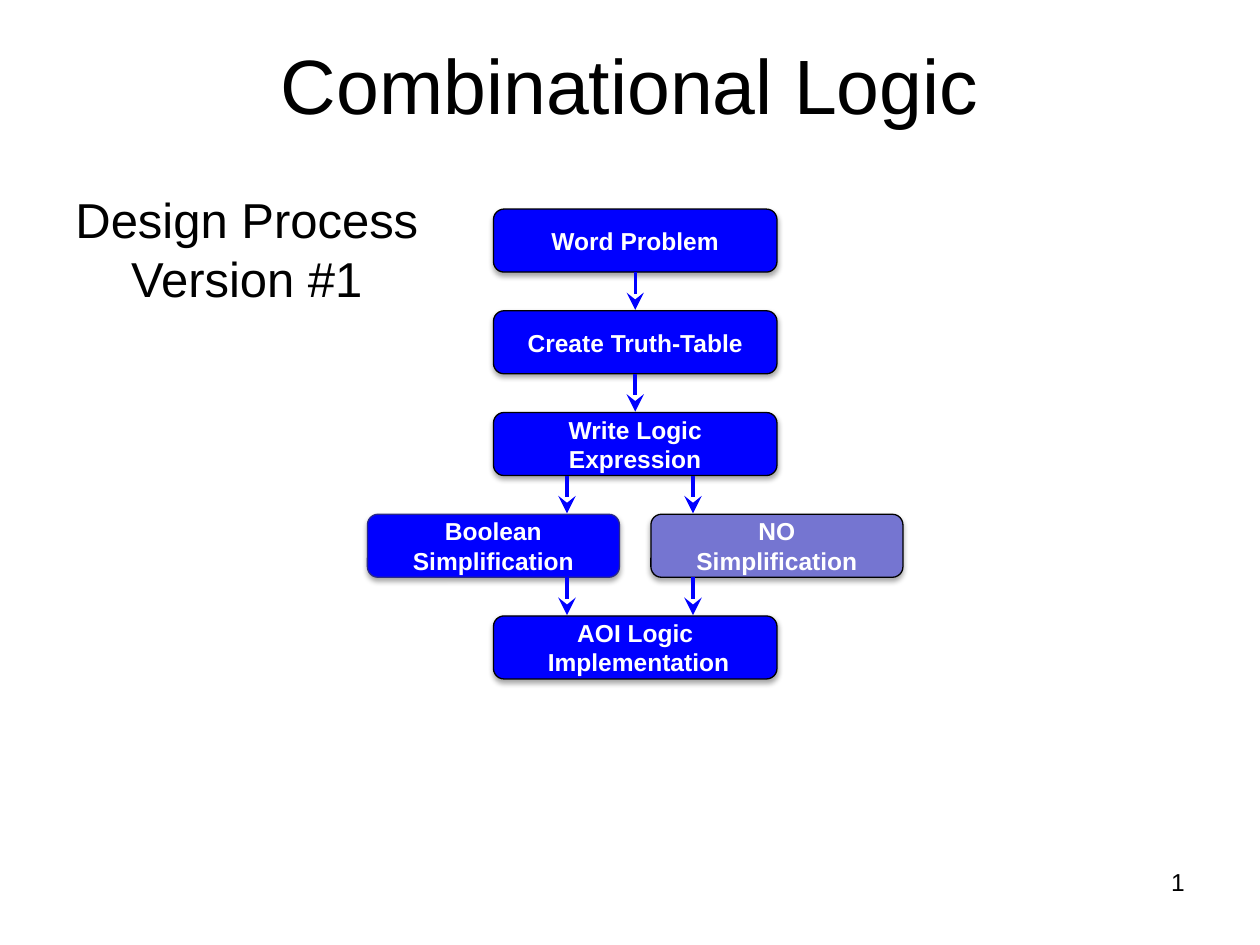
from dataclasses import dataclass

from lxml import etree
from pptx import Presentation
from pptx.dml.color import RGBColor
from pptx.enum.shapes import MSO_CONNECTOR, MSO_SHAPE
from pptx.enum.text import MSO_ANCHOR, PP_ALIGN
from pptx.oxml.ns import qn
from pptx.util import Pt

CENTER, RIGHT = PP_ALIGN.CENTER, PP_ALIGN.RIGHT
TOP, MIDDLE = MSO_ANCHOR.TOP, MSO_ANCHOR.MIDDLE
STEP_SHAPE = MSO_SHAPE.FLOWCHART_ALTERNATE_PROCESS
STRAIGHT = MSO_CONNECTOR.STRAIGHT


@dataclass(frozen=True)
class Theme:
    font: str = "Arial"
    title_size: float = 44
    subtitle_size: float = 28
    body_size: float = 14
    black: RGBColor = RGBColor(0, 0, 0)
    white: RGBColor = RGBColor(255, 255, 255)
    blue: RGBColor = RGBColor(0, 0, 255)
    muted_blue: RGBColor = RGBColor(0x75, 0x75, 0xD1)
    dark_blue: RGBColor = RGBColor(0x2A, 0x2A, 0x89)


THEME = Theme()

STEP_HEIGHT = 36
FIRST_TOP = 119.5
ROW_PITCH = 58.13
ARROW_LENGTH = 21.6
MAIN_LEFT, MAIN_WIDTH = 282, 162
BRANCH_WIDTH = 144
MAIN_X = MAIN_LEFT + MAIN_WIDTH / 2
BRANCH_XS = (324, 396)


def row_top(row):
    return FIRST_TOP + row * ROW_PITCH


def write_lines(shape, lines, size, color, bold=False, align=CENTER, anchor=TOP):
    frame = shape.text_frame
    frame.word_wrap = True
    frame.vertical_anchor = anchor
    frame.text = "\n".join(lines)
    for paragraph in frame.paragraphs:
        paragraph.alignment = align
        font = paragraph.font
        font.name, font.size, font.bold = THEME.font, Pt(size), bold
        font.color.rgb = color


def add_text(slide, bounds, lines, size, **layout):
    box = slide.shapes.add_textbox(*map(Pt, bounds))
    write_lines(box, lines, size, THEME.black, **layout)


def add_soft_shadow(shape):
    shape.shadow.inherit = False
    effects = shape._element.spPr.find(qn("a:effectLst"))
    shadow = etree.SubElement(
        effects, qn("a:outerShdw"), blurRad=str(Pt(3.1)), dist=str(Pt(1.8)),
        dir="5400000", rotWithShape="0")
    color = etree.SubElement(shadow, qn("a:srgbClr"), val=str(THEME.black))
    etree.SubElement(color, qn("a:alpha"), val="35000")


def add_step(slide, row, lines, left=MAIN_LEFT, width=MAIN_WIDTH,
             fill=THEME.blue, outline=THEME.black):
    bounds = (left, row_top(row), width, STEP_HEIGHT)
    step = slide.shapes.add_shape(STEP_SHAPE, *map(Pt, bounds))
    step.fill.solid()
    step.fill.fore_color.rgb = fill
    step.line.color.rgb = outline
    step.line.width = Pt(0.75)
    add_soft_shadow(step)
    write_lines(step, lines, THEME.body_size, THEME.white, bold=True, anchor=MIDDLE)


def add_arrow(slide, row, x, weight=2):
    """Point from the given row down to the next one."""
    start = row_top(row) + STEP_HEIGHT
    ends = (x, start, x, start + ARROW_LENGTH)
    arrow = slide.shapes.add_connector(STRAIGHT, *map(Pt, ends))
    arrow.line.color.rgb = THEME.blue
    arrow.line.width = Pt(weight)
    etree.SubElement(arrow.line._get_or_add_ln(), qn("a:tailEnd"),
                     type="stealth", w="lg", len="lg")
    etree.SubElement(arrow._element.spPr, qn("a:effectLst"))


def add_flowchart(slide):
    add_step(slide, 0, ["Word Problem"])
    add_step(slide, 1, ["Create Truth-Table"])
    add_step(slide, 2, ["Write Logic Expression"])
    add_step(slide, 3, ["Boolean Simplification"], left=210,
             width=BRANCH_WIDTH, outline=THEME.dark_blue)
    add_step(slide, 3, ["NO", "Simplification"], left=372,
             width=BRANCH_WIDTH, fill=THEME.muted_blue)
    add_step(slide, 4, ["AOI Logic", " Implementation"])

    add_arrow(slide, 0, MAIN_X, weight=1.5)
    add_arrow(slide, 1, MAIN_X)
    for row in (2, 3):
        for x in BRANCH_XS:
            add_arrow(slide, row, x)


def main():
    deck = Presentation()
    deck.slide_width, deck.slide_height = Pt(720), Pt(540)
    slide = deck.slides.add_slide(deck.slide_layouts[6])

    add_text(slide, (0, 0, 720, 96), ["Combinational Logic"],
             THEME.title_size, anchor=MIDDLE)
    add_text(slide, (24, 105, 234, 74), ["Design Process", "Version #1"],
             THEME.subtitle_size)
    add_flowchart(slide)
    add_text(slide, (516, 492, 168, 37.5), ["1"], THEME.body_size, align=RIGHT)

    deck.save("out.pptx")


if __name__ == "__main__":
    main()
